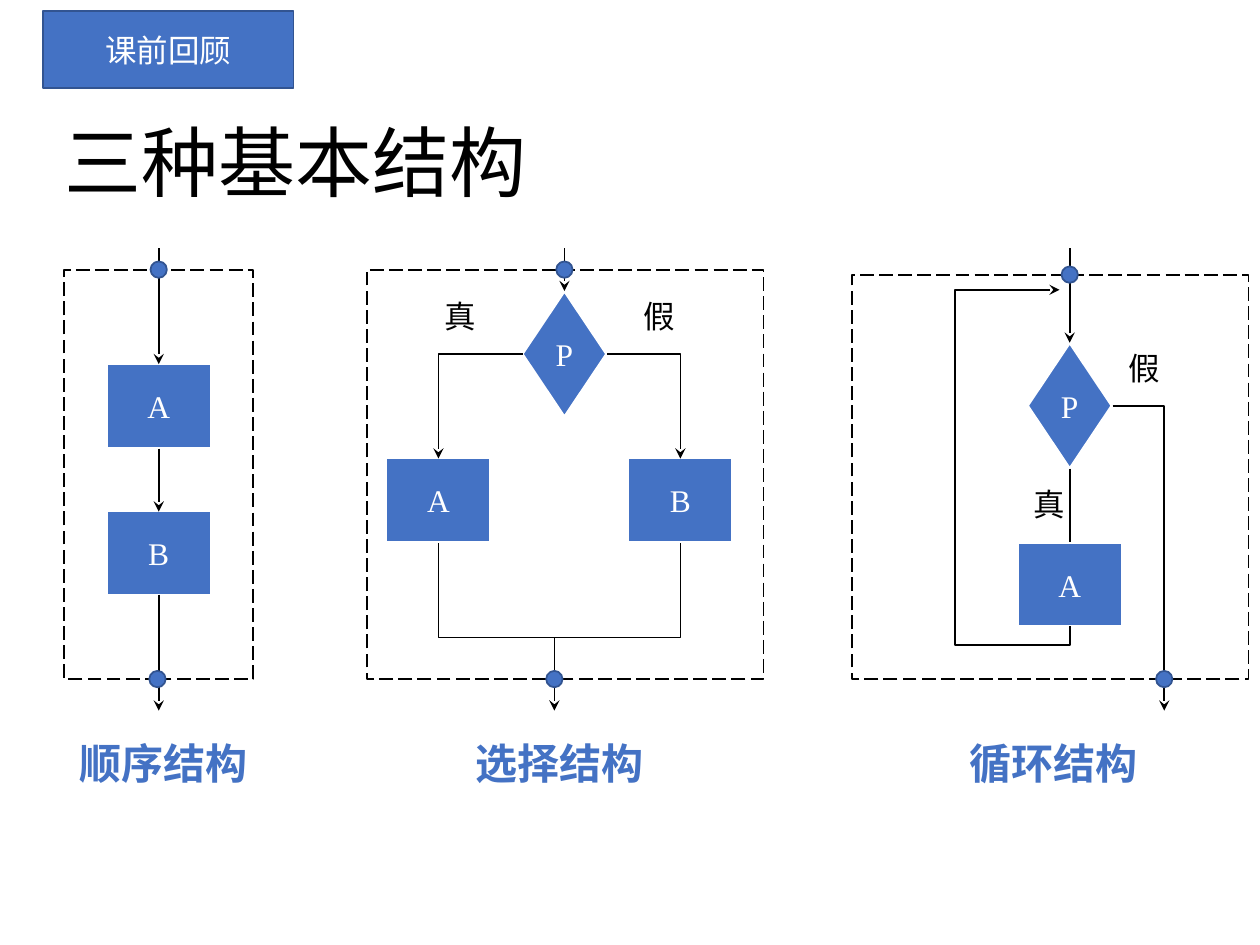
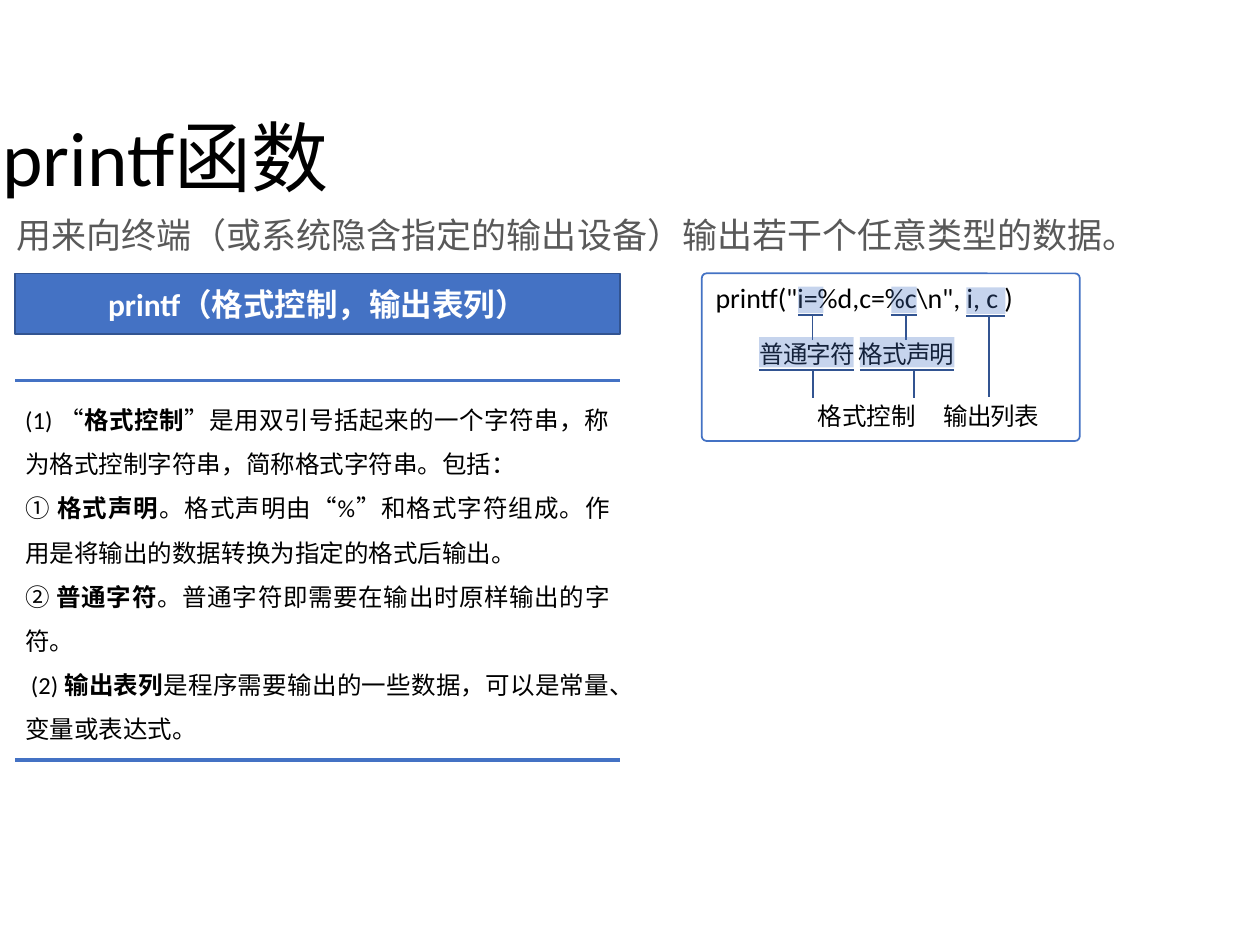
from dataclasses import dataclass

import pptx
import pptx.dml.color
import pptx.enum.dml
import pptx.enum.shapes
import pptx.enum.text
import pptx.oxml
import pptx.oxml.ns
import pptx.util
from lxml import etree

Inches = pptx.util.Inches
Pt = pptx.util.Pt
qn = pptx.oxml.ns.qn
Kind = pptx.enum.shapes.MSO_SHAPE
Align = pptx.enum.text.PP_ALIGN
Anchor = pptx.enum.text.MSO_ANCHOR


@dataclass(frozen=True)
class Theme:
    blue: str = "4472C4"
    edge: str = "325491"
    black: str = "000000"
    white: str = "FFFFFF"
    grey: str = "595959"
    body_font: str = "Calibri"
    chart_font: str = "Times New Roman"
    caption_font: str = "Arial"
    title: int = 44
    caption: int = 24
    lead: int = 20
    label: int = 18
    code: int = 16
    small: int = 14


THEME = Theme()

# Slide 1 content: nodes and labels by centre, wires as (points, has arrow)
REVIEW_TAG = "课前回顾"
REVIEW_TITLE = "三种基本结构"
ENTRY_Y, EXIT_Y, FRAME_BOTTOM = 1.97, 5.64, 5.39
NODE_SIZES = {Kind.RECTANGLE: (0.83, 0.67), Kind.DIAMOND: (0.67, 1)}
STRUCTURES = [
    {
        "caption": ("顺序结构", 1.3),
        "frame": (0.51, 2.14, 1.5),
        "entry": 1.26, "exit": 1.25,
        "nodes": [(Kind.RECTANGLE, "A", 1.26, 3.22),
                  (Kind.RECTANGLE, "B", 1.26, 4.39)],
        "labels": [],
        "wires": [([(1.26, ENTRY_Y), (1.26, 2.89)], True),
                  ([(1.26, 3.56), (1.26, 4.06)], True),
                  ([(1.26, 4.72), (1.26, EXIT_Y)], True)],
    },
    {
        "caption": ("选择结构", 4.44),
        "frame": (2.91, 2.14, 3.15),
        "entry": 4.48, "exit": 4.4,
        "nodes": [(Kind.RECTANGLE, "A", 3.48, 3.97),
                  (Kind.RECTANGLE, "B", 5.4, 3.97),
                  (Kind.DIAMOND, "P", 4.48, 2.81)],
        "labels": [("真", 3.65, 2.51), ("假", 5.23, 2.51)],
        "wires": [([(4.48, ENTRY_Y), (4.48, 2.31)], True),
                  ([(4.15, 2.81), (3.48, 2.81), (3.48, 3.64)], True),
                  ([(4.82, 2.81), (5.4, 2.81), (5.4, 3.64)], True),
                  ([(3.48, 4.31), (3.48, 5.06), (5.4, 5.06), (5.4, 4.31)], False),
                  ([(4.4, 5.06), (4.4, EXIT_Y)], True)],
    },
    {
        "caption": ("循环结构", 8.36),
        "frame": (6.76, 2.18, 3.15),
        "entry": 8.49, "exit": 9.24,
        "nodes": [(Kind.DIAMOND, "P", 8.49, 3.22),
                  (Kind.RECTANGLE, "A", 8.49, 4.64)],
        "labels": [("假", 9.08, 2.92), ("真", 8.33, 4)],
        "wires": [([(8.49, ENTRY_Y), (8.49, 2.72)], True),
                  ([(8.49, 3.72), (8.49, 4.3)], False),
                  ([(8.83, 3.22), (9.24, 3.22), (9.24, EXIT_Y)], True),
                  ([(8.49, 4.97), (8.49, 5.12), (7.58, 5.12), (7.58, 2.3),
                    (8.41, 2.3)], True)],
    },
]

# Slide 2 content: rich text as (text, bold) runs
PRINTF_TITLE = "printf函数"
PRINTF_LEAD = "用来向终端（或系统隐含指定的输出设备）输出若干个任意类型的数据。"
PRINTF_FORM = "printf（格式控制，输出表列）"
RULES = [
    [("(1) “", False), ("格式控制", True),
     ("”是用双引号括起来的一个字符串，称为格式控制字符串，简称格式字符串。包括：", False)],
    [("① ", False), ("格式声明", True),
     ("。格式声明由“%”和格式字符组成。作用是将输出的数据转换为指定的格式后输出。", False)],
    [("② ", False), ("普通字符", True),
     ("。普通字符即需要在输出时原样输出的字符。", False)],
    [(" (2) ", False), ("输出表列", True),
     ("是程序需要输出的一些数据，可以是常量、变量或表达式。", False)],
]
CODE = 'printf("i=%d,c=%c\\n", i, c )'
PART_NAMES = "普通字符 格式声明"
GROUP_NAMES = ["格式控制 \t", "输出列表"]
# Box before its quarter turn, then how far the leader reaches
CALLOUTS = [
    ((6.33, 2.28, 0.21, 0.2), -1.03),
    ((7.07, 2.28, 0.21, 0.2), -1.03),
    ((7.72, 2.23, 0.21, 0.31), -3.15),
    ((6.28, 2.42, 0.24, 0.75), -1.03),
    ((7.08, 2.42, 0.24, 0.75), -1.03),
]


# Shared helpers
def rgb(colour):
    return pptx.dml.color.RGBColor.from_string(colour)


def around(cx, cy, width, height):
    return cx - width / 2, cy - height / 2, width, height


def style_line(shape, colour, width=1):
    shape.line.color.rgb = rgb(colour)
    shape.line.width = Pt(width)


def style_paragraph(paragraph, size, colour, font=THEME.body_font, bold=None,
                    align=Align.LEFT):
    paragraph.alignment = align
    paragraph.font.size = Pt(size)
    paragraph.font.name = font
    paragraph.font.bold = bold
    paragraph.font.color.rgb = rgb(colour)


def add_text(slide, box, text, size, colour, **style):
    holder = slide.shapes.add_textbox(*map(Inches, box))
    holder.text_frame.word_wrap = True
    paragraph = holder.text_frame.paragraphs[0]
    for part in [text] if isinstance(text, str) else text:
        paragraph.add_run().text = part
    style_paragraph(paragraph, size, colour, **style)
    return holder


def add_block(slide, kind, box, fill, line, width=1):
    block = slide.shapes.add_shape(kind, *map(Inches, box))
    block.shadow.inherit = False
    if fill:
        block.fill.solid()
        block.fill.fore_color.rgb = rgb(fill)
    else:
        block.fill.background()
    style_line(block, line, width)
    return block


def fill_block(block, text, size, colour, align=Align.CENTER, **style):
    paragraph = block.text_frame.paragraphs[0]
    paragraph.text = text
    style_paragraph(paragraph, size, colour, align=align, **style)


def add_wire(slide, points, arrow=False, colour=THEME.black, width=1):
    spots = [(Inches(x), Inches(y)) for x, y in points]
    if len(spots) == 2:
        wire = slide.shapes.add_connector(
            pptx.enum.shapes.MSO_CONNECTOR.STRAIGHT, *spots[0], *spots[1])
    else:
        outline = slide.shapes.build_freeform(*spots[0])
        outline.add_line_segments(spots[1:], close=False)
        wire = outline.convert_to_shape()
        wire.fill.background()
    style_line(wire, colour, width)
    properties = wire.element.spPr
    if arrow:
        etree.SubElement(properties.get_or_add_ln(), qn("a:tailEnd"), type="stealth")
    etree.SubElement(properties, qn("a:effectLst"))


def add_titled_slide(deck, text, box):
    slide = deck.slides.add_slide(deck.slide_layouts[5])
    title = slide.shapes.title
    title.left, title.top, title.width, title.height = map(Inches, box)
    frame = title.text_frame
    frame.text = text
    frame.auto_size = pptx.enum.text.MSO_AUTO_SIZE.NONE
    frame.vertical_anchor = Anchor.MIDDLE
    frame.paragraphs[0].line_spacing = 0.9
    style_paragraph(frame.paragraphs[0], THEME.title, THEME.black)
    return slide


def tighten(holder):
    last_run = list(holder.element.iter(qn("a:r")))[-1]
    last_run.get_or_add_rPr().set("spc", "-50")


# Slide 1: three flow charts
def draw_structure(slide, structure):
    for kind, letter, cx, cy in structure["nodes"]:
        node = add_block(slide, kind, around(cx, cy, *NODE_SIZES[kind]),
                         THEME.blue, THEME.white, 1.5)
        node.text_frame.word_wrap = False
        fill_block(node, letter, THEME.label, THEME.white, font=THEME.chart_font)
    for points, arrow in structure["wires"]:
        add_wire(slide, points, arrow)
    for label, cx, cy in structure["labels"]:
        add_text(slide, around(cx, cy, 0.5, 0.4), label, THEME.label, THEME.black,
                 font=THEME.chart_font, align=Align.CENTER)

    left, top, width = structure["frame"]
    frame = add_block(slide, Kind.RECTANGLE, (left, top, width, FRAME_BOTTOM - top),
                      None, THEME.black)
    frame.line.dash_style = pptx.enum.dml.MSO_LINE.LONG_DASH
    for cx, cy in [(structure["entry"], top), (structure["exit"], FRAME_BOTTOM)]:
        add_block(slide, Kind.FLOWCHART_CONNECTOR, around(cx, cy, 0.13, 0.13),
                  THEME.blue, THEME.edge)

    caption, cx = structure["caption"]
    add_text(slide, (cx - 0.96, 5.8, 1.92, 0.51), caption, THEME.caption, THEME.blue,
             font=THEME.caption_font, bold=True, align=Align.CENTER)


def build_review(deck):
    slide = add_titled_slide(deck, REVIEW_TITLE, (0.41, 0.75, 8.62, 1.15))
    for structure in STRUCTURES:
        draw_structure(slide, structure)
    tag = add_block(slide, Kind.RECTANGLE, (0.34, 0.09, 1.99, 0.61),
                    THEME.blue, THEME.edge)
    fill_block(tag, REVIEW_TAG, THEME.label, THEME.white)


# Slide 2: printf rules and an annotated call
def draw_rules(slide, left=0.12, top=3.02, width=4.8, height=3.01):
    for y in (top, top + height):
        add_wire(slide, [(left, y), (left + width, y)], colour=THEME.blue, width=2)
    holder = slide.shapes.add_textbox(*map(Inches, (left, top, width, height)))
    frame = holder.text_frame
    frame.word_wrap = True
    frame.margin_left = frame.margin_right = Inches(0.08)
    frame.margin_top = frame.margin_bottom = Inches(0.08)
    for index, rule in enumerate(RULES):
        paragraph = frame.add_paragraph() if index else frame.paragraphs[0]
        paragraph.line_spacing = 1.5
        style_paragraph(paragraph, THEME.small, THEME.black, align=Align.JUSTIFY)
        for text, bold in rule:
            run = paragraph.add_run()
            run.text = text
            run.font.bold = bold


def draw_call(slide):
    card = add_block(slide, Kind.ROUNDED_RECTANGLE, (5.57, 2.17, 3, 1.33),
                     THEME.white, THEME.blue)
    card.adjustments[0] = 0.028
    card.text_frame.vertical_anchor = Anchor.TOP
    fill_block(card, CODE, THEME.code, THEME.black, align=Align.LEFT)
    tighten(add_text(slide, (5.93, 2.64, 2.64, 0.34), PART_NAMES,
                     THEME.small, THEME.black))
    for box, reach in CALLOUTS:
        callout = add_block(slide, Kind.LINE_CALLOUT_2_ACCENT_BAR, box,
                            THEME.blue, THEME.edge)
        callout.rotation = 270
        for index, value in enumerate((0.19, -0.08, 0.57, -0.08, 0.57, reach)):
            callout.adjustments[index] = value
        tint = callout.element.spPr.find(qn("a:solidFill"))[0]
        etree.SubElement(tint, qn("a:alpha"), val="30000")
    tighten(add_text(slide, (6.39, 3.13, 2.18, 0.34), GROUP_NAMES,
                     THEME.small, THEME.black))


def build_printf(deck):
    slide = add_titled_slide(deck, PRINTF_TITLE, (-0.08, 0.56, 6.48, 1.45))
    lead = add_text(slide, (0.03, 1.68, 9.37, 0.64), PRINTF_LEAD,
                    THEME.lead, THEME.grey)
    lead.text_frame.paragraphs[0].line_spacing = 0.9
    form = add_block(slide, Kind.RECTANGLE, (0.12, 2.17, 4.8, 0.48),
                     THEME.blue, THEME.edge)
    fill_block(form, PRINTF_FORM, THEME.label, THEME.white, bold=True)
    draw_call(slide)
    draw_rules(slide)


def main():
    deck = pptx.Presentation()
    deck.slide_width, deck.slide_height = Inches(10), Inches(7.5)
    build_review(deck)
    build_printf(deck)
    deck.save("out.pptx")


if __name__ == "__main__":
    main()
